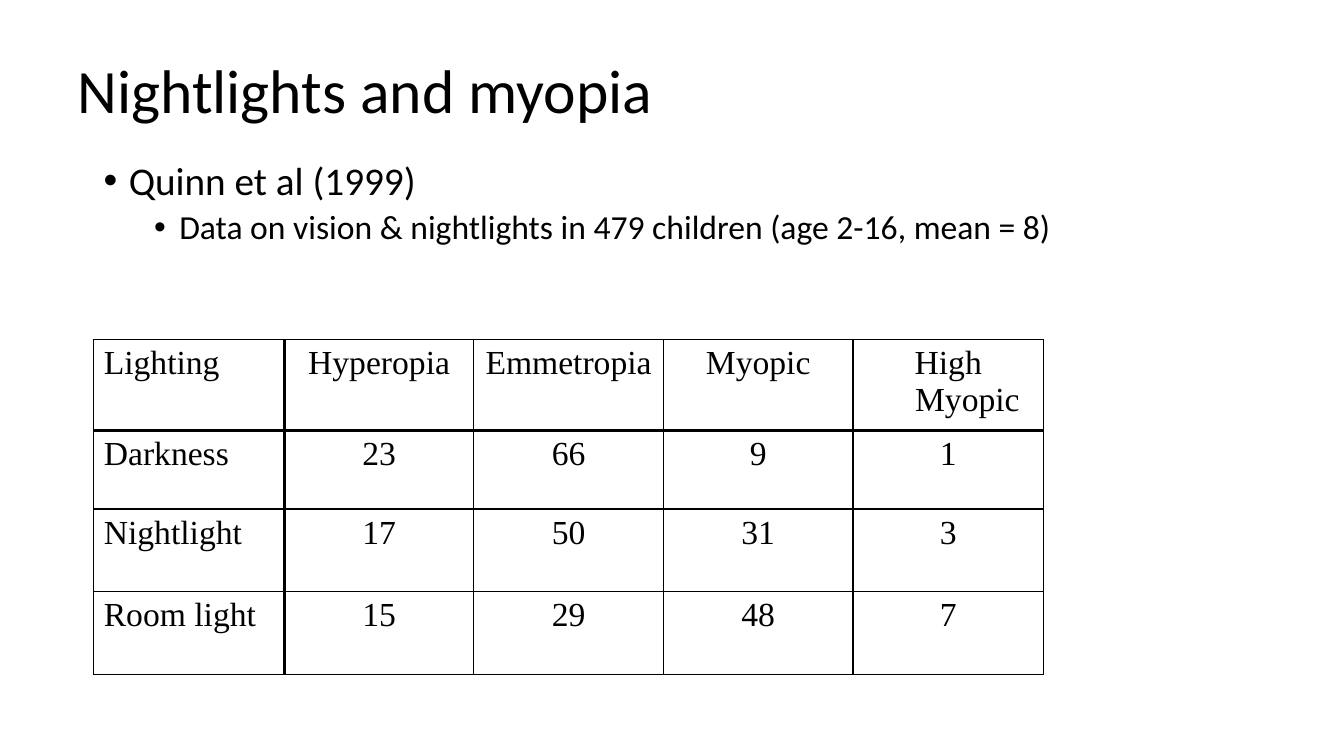
from lxml.etree import SubElement
from pptx import Presentation
from pptx.dml.color import RGBColor
from pptx.enum.text import MSO_ANCHOR, PP_ALIGN
from pptx.oxml import parse_xml
from pptx.oxml.ns import nsdecls, qn
from pptx.util import Inches, Pt

COLORS = {"ink": "000000", "paper": "FFFFFF"}
TITLE = {"name": "Calibri", "size": Pt(44)}
POINT = {"name": "Calibri", "size": Pt(28)}
SUBPOINT = {"name": "Calibri", "size": Pt(24)}
CELL = {"name": "Times New Roman", "size": Pt(24)}

VISION_BY_LIGHTING = [
    ["Lighting", "Hyperopia", "Emmetropia", "Myopic", "High Myopic"],
    ["Darkness", "23", "66", "9", "1"],
    ["Nightlight", "17", "50", "31", "3"],
    ["Room light", "15", "29", "48", "7"],
]
COLUMN_WIDTHS = [1.89, 1.88, 1.88, 1.88, 1.89]
ROW_HEIGHTS = [0.9, 0.78, 0.82, 0.82]


class SlideBuilder:
    def __init__(self, slide):
        self.slide = slide
        self.ink = RGBColor.from_string(COLORS["ink"])
        slide.background.fill.solid()
        slide.background.fill.fore_color.rgb = RGBColor.from_string(COLORS["paper"])

    def add_text(self, paragraph, text, font_format, **layout):
        run = paragraph.add_run()
        run.text = text
        for target, values in ((run.font, font_format), (paragraph, layout)):
            for attribute, value in values.items():
                setattr(target, attribute, value)
        run.font.color.rgb = self.ink

    def indent(self, paragraph, left, hanging):
        properties = paragraph._p.get_or_add_pPr()
        properties.set("marL", str(Inches(left)))
        properties.set("indent", str(-Inches(hanging)))
        return properties

    def text_box(self, left, top, width, height, anchor=MSO_ANCHOR.TOP):
        box = self.slide.shapes.add_textbox(
            Inches(left), Inches(top), Inches(width), Inches(height))
        frame = box.text_frame
        frame.word_wrap = True
        frame.vertical_anchor = anchor
        return frame

    def title(self, text, *place):
        frame = self.text_box(*place, anchor=MSO_ANCHOR.MIDDLE)
        self.add_text(frame.paragraphs[0], text, TITLE, line_spacing=0.9)

    def bullets(self, points, *place):
        frame = self.text_box(*place)
        for index, (text, font_format, level, space) in enumerate(points):
            paragraph = frame.add_paragraph() if index else frame.paragraphs[0]
            self.add_text(paragraph, text, font_format, level=level,
                          line_spacing=0.9, space_before=Pt(space))
            properties = self.indent(paragraph, 0.25 + 0.5 * level, 0.25)
            SubElement(properties, qn("a:buFont")).set("typeface", "Arial")
            SubElement(properties, qn("a:buChar")).set("char", "•")

    def borders(self, cell, widths):
        properties = cell._tc.get_or_add_tcPr()
        for index, (side, width) in enumerate(zip("LRTB", widths)):
            properties.insert(index, parse_xml(
                f'<a:ln{side} {nsdecls("a")} w="{Pt(width)}"><a:solidFill>'
                f'<a:srgbClr val="{COLORS["ink"]}"/></a:solidFill></a:ln{side}>'))

    def table(self, rows, widths, heights, left, top):
        table = self.slide.shapes.add_table(
            len(rows), len(widths), Inches(left), Inches(top),
            Inches(sum(widths)), Inches(sum(heights))).table
        table.first_row = table.horz_banding = False
        for column, width in zip(table.columns, widths):
            column.width = Inches(width)
        for r, (labels, height) in enumerate(zip(rows, heights)):
            table.rows[r].height = Inches(height)
            for c, label in enumerate(labels):
                cell = table.cell(r, c)
                cell.fill.background()
                paragraph = cell.text_frame.paragraphs[0]
                self.add_text(paragraph, label, CELL,
                              alignment=PP_ALIGN.CENTER if c else PP_ALIGN.LEFT)
                self.indent(paragraph, 0.38, 0.38)
                # Heavier rules set off the header row and the label column
                self.borders(cell, [2 if heavy else 1 for heavy in
                                    (c == 1, c == 0, r == 1, r == 0)])


def main():
    deck = Presentation()
    deck.slide_width, deck.slide_height = Inches(13.33), Inches(7.5)
    builder = SlideBuilder(deck.slides.add_slide(deck.slide_layouts[6]))

    # Heading
    builder.title("Nightlights and myopia", 0.67, 0.3, 12, 1.25)

    # Study description
    builder.bullets([
        ("Quinn et al (1999)", POINT, 0, 10),
        ("Data on vision & nightlights in 479 children (age 2-16, mean = 8)",
         SUBPOINT, 1, 5),
    ], 0.93, 1.55, 11.03, 4.95)

    # Vision outcomes by night-time lighting
    builder.table(VISION_BY_LIGHTING, COLUMN_WIDTHS, ROW_HEIGHTS, 0.93, 3.37)

    deck.save("out.pptx")


if __name__ == "__main__":
    main()
